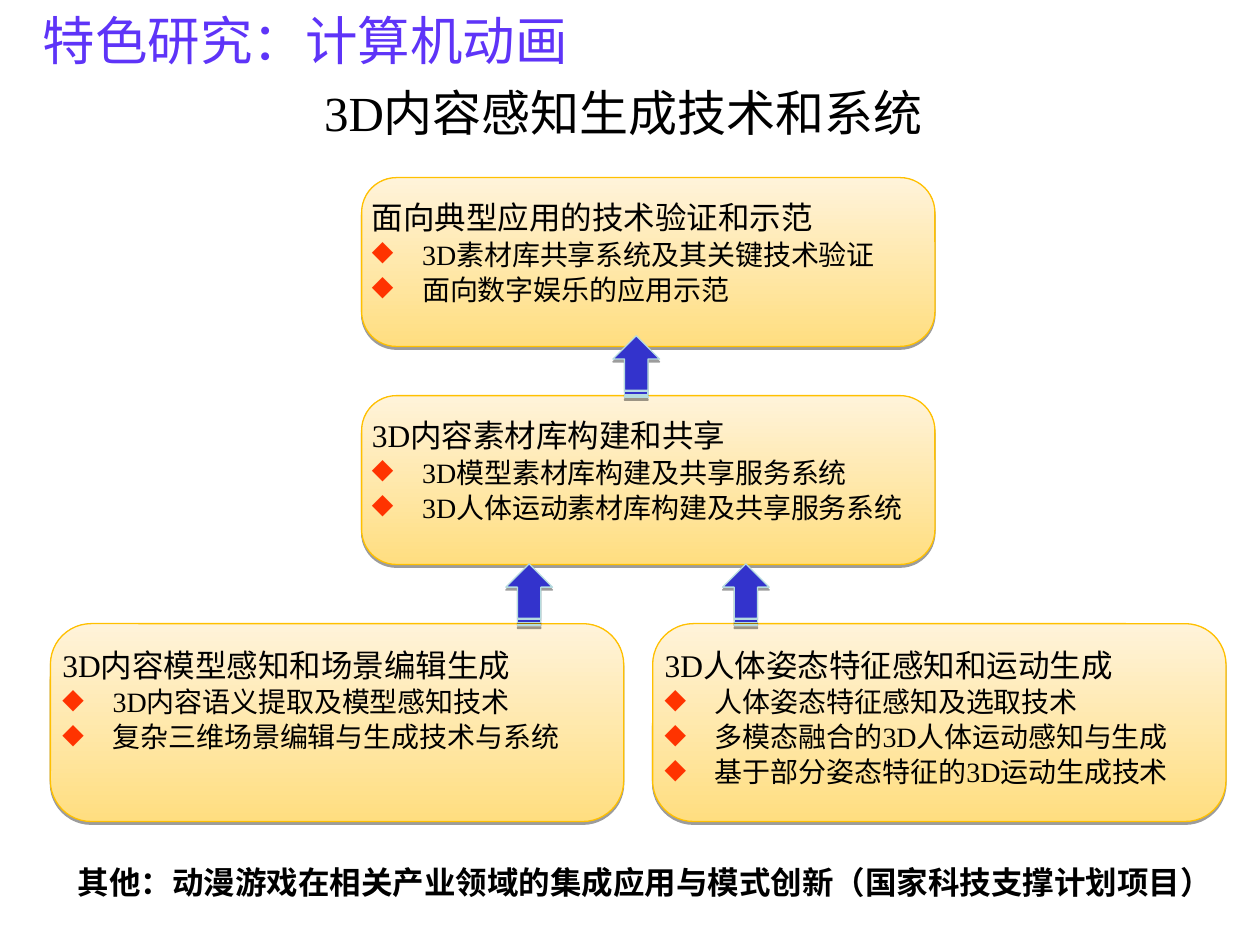
from lxml.etree import SubElement
from pptx import Presentation
from pptx.dml.color import RGBColor
from pptx.enum.shapes import MSO_SHAPE
from pptx.enum.text import MSO_ANCHOR, PP_ALIGN
from pptx.oxml.ns import qn
from pptx.util import Emu, Inches, Pt

# Content
TITLE = "特色研究：计算机动画"
SUBTITLE = "3D内容感知生成技术和系统"
FOOTER = "其他：动漫游戏在相关产业领域的集成应用与模式创新（国家科技支撑计划项目）"
# (column, row, heading, bullets)
CARDS = [
    ("left", "base", "3D内容模型感知和场景编辑生成",
     ["3D内容语义提取及模型感知技术", "复杂三维场景编辑与生成技术与系统"]),
    ("right", "base", "3D人体姿态特征感知和运动生成",
     ["人体姿态特征感知及选取技术", "多模态融合的3D人体运动感知与生成",
      "基于部分姿态特征的3D运动生成技术"]),
    ("middle", "library", "3D内容素材库构建和共享",
     ["3D模型素材库构建及共享服务系统", "3D人体运动素材库构建及共享服务系统"]),
    ("middle", "application", "面向典型应用的技术验证和示范",
     ["3D素材库共享系统及其关键技术验证", "面向数字娱乐的应用示范"]),
]

# Grid, in inches
COLUMNS = {"left": 0.4, "middle": 2.87, "right": 5.18}
ROWS = {"application": (1.41, 1.34), "library": (3.14, 1.34), "base": (4.95, 1.57)}
CARD_WIDTH = 4.55
ARROW_LENGTH, ARROW_WIDTH = 0.49, 0.37
ARROW_CENTRES = [(4.2, 4.72), (5.92, 4.72), (5.05, 2.91)]

COLORS = {"title": "5E34F8", "text": "000000", "card_low": "FFDE80",
          "card_high": "FFF3DA", "card_line": "FFC000", "bullet": "FF3300",
          "arrow": "3333CC", "arrow_line": "B6DCDF"}
SERIF, SANS = "Times New Roman", "Noto Sans CJK SC"


def color(name):
    return RGBColor.from_string(COLORS[name])


def write(para, text, size, font=SERIF, tone="text", bold=False):
    para.text = text
    span = para.runs[0]
    span.font.size, span.font.name, span.font.bold = Pt(size), font, bold
    span.font.color.rgb = color(tone)
    SubElement(span.font._element, qn("a:ea"), typeface=SANS)


def add_bullet(para):
    properties = para._p.get_or_add_pPr()
    properties.set("marL", str(Inches(0.4)))
    properties.set("indent", str(-Inches(0.4)))
    tint = SubElement(properties, qn("a:buClr"))
    SubElement(tint, qn("a:srgbClr"), val=COLORS["bullet"])
    SubElement(properties, qn("a:buChar"), char="◆")


def add_shadow(shape):
    shape.shadow.inherit = False
    effects = shape._element.spPr.find(qn("a:effectLst"))
    shadow = SubElement(effects, qn("a:outerShdw"), blurRad="0", dist=str(Pt(1.6)),
                        dir="5400000", rotWithShape="0")
    tint = SubElement(shadow, qn("a:srgbClr"), val="000000")
    SubElement(tint, qn("a:alpha"), val="38000")


def add_shape(page, kind, area, line):
    shape = page.shapes.add_shape(kind, *map(Inches, area))
    shape.line.color.rgb = color(line)
    shape.line.width = Pt(0.75)
    add_shadow(shape)
    return shape


def add_text_box(page, area, wrap):
    frame = page.shapes.add_textbox(*map(Inches, area)).text_frame
    frame.word_wrap = wrap
    return frame


def add_card(page, column, row, heading, bullets):
    top, height = ROWS[row]
    card = add_shape(page, MSO_SHAPE.ROUNDED_RECTANGLE,
                     (COLUMNS[column], top, CARD_WIDTH, height), "card_line")
    card.adjustments[0] = 0.206
    card.fill.gradient()
    card.fill.gradient_angle = 90
    for stop, name in zip(card.fill.gradient_stops, ("card_low", "card_high")):
        stop.color.rgb = color(name)
    frame = card.text_frame
    frame.word_wrap = True
    frame.vertical_anchor = MSO_ANCHOR.TOP
    frame.margin_left, frame.margin_top = Emu(0), Inches(0.07)
    for index, text in enumerate([heading, *bullets]):
        para = frame.add_paragraph() if index else frame.paragraphs[0]
        write(para, text, 16 if index else 18)
        para.alignment = PP_ALIGN.LEFT
        para.line_spacing = 1.04
        if index:
            add_bullet(para)


def add_arrow(page, center_x, center_y):
    area = (center_x - ARROW_LENGTH / 2, center_y - ARROW_WIDTH / 2,
            ARROW_LENGTH, ARROW_WIDTH)
    arrow = add_shape(page, MSO_SHAPE.STRIPED_RIGHT_ARROW, area, "arrow_line")
    arrow.rotation = 270
    arrow.fill.solid()
    arrow.fill.fore_color.rgb = color("arrow")


def main():
    deck = Presentation()
    deck.slide_width, deck.slide_height = Inches(10), Inches(7.5)
    page = deck.slides.add_slide(deck.slide_layouts[6])

    # Title and subtitle
    frame = add_text_box(page, (0.24, -0.03, 9.41, 1.57), True)
    frame.margin_top = Inches(0.09)
    write(frame.paragraphs[0], TITLE, 30, SANS, "title")
    subtitle = frame.add_paragraph()
    write(subtitle, SUBTITLE, 28)
    subtitle.alignment = PP_ALIGN.CENTER
    subtitle.space_before = Pt(7)

    # Cards and the arrows between their rows
    for card in CARDS:
        add_card(page, *card)
    for center in ARROW_CENTRES:
        add_arrow(page, *center)

    # Footer
    footer = add_text_box(page, (0.52, 6.8, 9.2, 0.4), False)
    write(footer.paragraphs[0], FOOTER, 18, SANS, bold=True)

    deck.save("out.pptx")


if __name__ == "__main__":
    main()
